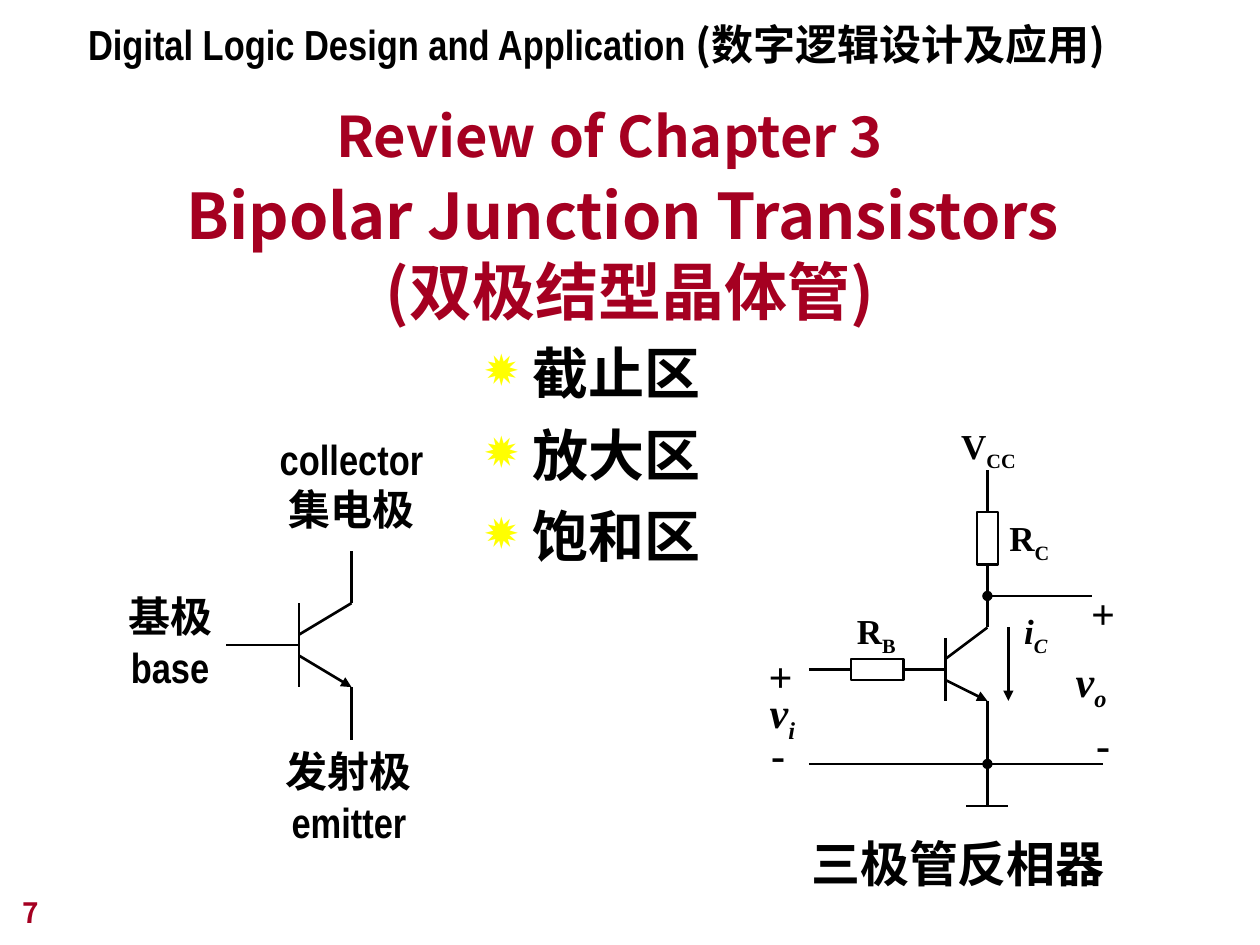
from dataclasses import dataclass
from typing import Optional

from lxml import etree
from pptx import Presentation
from pptx.dml.color import RGBColor
from pptx.enum.shapes import MSO_CONNECTOR, MSO_SHAPE
from pptx.enum.text import MSO_ANCHOR, MSO_AUTO_SIZE, PP_ALIGN
from pptx.oxml.ns import qn
from pptx.shapes.autoshape import Shape
from pptx.slide import Slide
from pptx.util import Inches, Pt

STRAIGHT = MSO_CONNECTOR.STRAIGHT
RECTANGLE = MSO_SHAPE.RECTANGLE
TOP, BOTTOM = MSO_ANCHOR.TOP, MSO_ANCHOR.BOTTOM
LEFT, CENTER = PP_ALIGN.LEFT, PP_ALIGN.CENTER
GROW = MSO_AUTO_SIZE.SHAPE_TO_FIT_TEXT
SIDE_TOP, SIDE_LEFT, SIDE_BOTTOM, SIDE_RIGHT = range(4)

COLORS = {"ink": "000000", "heading": "A50021", "bullet": "FFFF00"}
SANS, NARROW, SERIF = "Noto Sans CJK JP", "Arial Narrow", "Times New Roman"
SLIDE_W, SLIDE_H = 10, 7.5
CELL = 1 / 12  # grid pitch of both diagrams, in inches
LINE_WIDTH = Pt(1.5)


@dataclass(frozen=True)
class Grid:
    left: float
    top: float

    def x(self, column: float) -> int:
        return Inches(self.left + column * CELL)

    def y(self, row: float) -> int:
        return Inches(self.top + row * CELL)


@dataclass(frozen=True)
class Wire:
    """A line between (column, row) points; joints are (resistor, side)."""
    start: tuple[float, float]
    end: tuple[float, float]
    head: Optional[str] = None
    tail: Optional[str] = None
    start_joint: Optional[tuple[str, int]] = None
    end_joint: Optional[tuple[str, int]] = None


@dataclass(frozen=True)
class Label:
    """Text lines, each a list of (text, font) pieces, in a box in inches."""
    box: tuple[float, float, float, float]
    lines: list[list[tuple[str, str]]]
    size: int
    color: str = "ink"
    align: PP_ALIGN = CENTER
    anchor: MSO_ANCHOR = TOP
    wrap: bool = True
    grow: bool = False


@dataclass(frozen=True)
class Symbol:
    """A circuit quantity: a letter with an optional subscript."""
    box: tuple[float, float, float, float]
    letter: str
    subscript: str = ""
    size: int = 24
    italic: bool = False


SYMBOL_GRID = Grid(1.79, 4.37)
TRANSISTOR = [
    Wire((7, 5), (7, 13)),
    Wire((7, 10), (12, 13), tail="triangle"),
    Wire((7, 8), (12, 5)),
    Wire((12, 5), (12, 0)),
    Wire((12, 13), (12, 18)),
    Wire((7, 9), (0, 9)),
]

INVERTER_GRID = Grid(6.42, 3.73)
RESISTORS = {"RC": (16, 4, 2, 5), "RB": (4, 18, 5, 2)}  # column, row, width, height
INVERTER = [
    Wire((13, 16), (13, 22)),
    Wire((13, 18), (17, 15)),
    Wire((13, 20), (17, 22), tail="triangle"),
    Wire((17, 22), (17, 28), tail="oval"),
    Wire((17, 15), (17, 9), end_joint=("RC", SIDE_BOTTOM)),
    Wire((17, 4), (17, 0), start_joint=("RC", SIDE_TOP)),
    Wire((17, 12), (27, 12), head="oval"),
    Wire((0, 28), (28, 28)),
    Wire((17, 28), (17, 32)),
    Wire((15, 32), (19, 32)),
    Wire((0, 19), (4, 19), end_joint=("RB", SIDE_LEFT)),
    Wire((13, 19), (9, 19), end_joint=("RB", SIDE_RIGHT)),
    Wire((19, 15), (19, 22), tail="triangle"),
]

QUANTITIES = [
    Symbol((7.53, 3.32, 0.63, 0.48), "V", "CC", 20),
    Symbol((6.7, 4.79, 0.51, 0.48), "R", "B", 20),
    Symbol((7.91, 4.05, 0.52, 0.48), "R", "C", 20),
    Symbol((8.03, 4.79, 0.38, 0.48), "i", "C", 20, True),
    Symbol((8.44, 5.15, 0.44, 0.56), "v", "o", italic=True),
    Symbol((6.01, 5.4, 0.4, 0.56), "v", "i", italic=True),
    Symbol((8.56, 4.61, 0.39, 0.5), "+"),
    Symbol((8.6, 5.65, 0.31, 0.5), "-"),
    Symbol((6, 5.11, 0.39, 0.5), "+"),
    Symbol((6.02, 5.73, 0.31, 0.5), "-"),
]

TERMINALS = [
    ((0.92, 4.64, 0.86, 0.9), "基极", "base"),
    ((2.12, 3.39, 1.34, 0.9), "collector", "集电极"),
    ((2.17, 5.87, 1.2, 0.9), "发射极", "emitter"),
]

HEADINGS = [
    Label((0.59, 0.63, 8.5, 0.76), [[("Review of Chapter 3", SANS)]], 32,
          "heading", anchor=BOTTOM),
    Label((0.6, 0.1, 8.41, 0.5),
          [[("Digital Logic Design and Application ", NARROW),
            ("(数字逻辑设计及应用)", SANS)]], 24, align=LEFT, grow=True),
    Label((0.75, 1.23, 8.5, 1.42),
          [[("Bipolar Junction Transistors \v(双极结型晶体管)", SANS)]], 36,
          "heading", anchor=BOTTOM),
    Label((0.08, 6.92, 2.08, 0.5), [[("7", SANS)]], 16, "heading", LEFT, BOTTOM),
    Label((6.34, 6.57, 2.53, 0.57), [[("三极管反相器", NARROW)]], 28,
          align=LEFT, grow=True),
]

REGIONS = Label((3.75, 2.64, 3.83, 3.25),
                [[(region, "Arial")] for region in ("截止区", "放大区", "饱和区")],
                32, align=LEFT)


def rgb(name: str) -> RGBColor:
    return RGBColor.from_string(COLORS[name])


def draw_label(slide: Slide, label: Label) -> Shape:
    box = slide.shapes.add_textbox(*map(Inches, label.box))
    frame = box.text_frame
    frame.word_wrap = label.wrap
    frame.vertical_anchor = label.anchor
    if not label.wrap:  # tight labels use the full width of their box
        frame.margin_left = frame.margin_right = 0
    if label.grow:
        frame.auto_size = GROW
    frame.text = "\n".join("" for _ in label.lines)
    for paragraph, pieces in zip(frame.paragraphs, label.lines):
        paragraph.alignment = label.align
        for text, font_name in pieces:
            for part_index, part in enumerate(text.split("\v")):
                if part_index:
                    paragraph.add_line_break()
                run = paragraph.add_run()
                run.text = part
                run.font.name = font_name
                run.font.size = Pt(label.size)
                run.font.bold = True
                run.font.color.rgb = rgb(label.color)
    return box


def draw_quantity(slide: Slide, symbol: Symbol) -> None:
    pieces = [(part, SERIF) for part in (symbol.letter, symbol.subscript) if part]
    box = draw_label(slide, Label(symbol.box, [pieces], symbol.size,
                                  wrap=False, grow=True))
    runs = box.text_frame.paragraphs[0].runs
    for run in runs:
        run.font.italic = symbol.italic
    for run in runs[1:]:
        run.font._element.set("baseline", "-25000")


def draw_regions(slide: Slide) -> None:
    """List the operating regions with star bullets and hanging indents."""
    box = draw_label(slide, REGIONS)
    for index, paragraph in enumerate(box.text_frame.paragraphs):
        properties = paragraph._p.get_or_add_pPr()
        properties.set("marL", str(Inches(0.38)))
        properties.set("indent", str(-Inches(0.38)))
        if index:
            paragraph.space_before = Pt(8)
        color = etree.SubElement(properties, qn("a:buClr"))
        etree.SubElement(color, qn("a:srgbClr"), val=COLORS["bullet"])
        etree.SubElement(properties, qn("a:buSzPct"), val="100000")
        etree.SubElement(properties, qn("a:buChar"), char="✹")


def draw_resistor(slide: Slide, grid: Grid, column: int, row: int,
                  width: int, height: int) -> Shape:
    resistor = slide.shapes.add_shape(RECTANGLE, grid.x(column), grid.y(row),
                                      Inches(width * CELL), Inches(height * CELL))
    resistor.shadow.inherit = False
    resistor.fill.background()
    resistor.line.color.rgb = rgb("ink")
    resistor.line.width = LINE_WIDTH
    return resistor


def draw_wire(slide: Slide, grid: Grid, wire: Wire,
              resistors: dict[str, Shape]) -> None:
    line = slide.shapes.add_connector(
        STRAIGHT, grid.x(wire.start[0]), grid.y(wire.start[1]),
        grid.x(wire.end[0]), grid.y(wire.end[1]))
    line.line.color.rgb = rgb("ink")
    line.line.width = LINE_WIDTH
    for tag, kind in (("a:headEnd", wire.head), ("a:tailEnd", wire.tail)):
        if kind:
            etree.SubElement(line.line._get_or_add_ln(), qn(tag), type=kind)
    etree.SubElement(line._element.spPr, qn("a:effectLst"))
    for joint, connect in ((wire.start_joint, line.begin_connect),
                           (wire.end_joint, line.end_connect)):
        if joint:
            connect(resistors[joint[0]], joint[1])


def main() -> None:
    deck = Presentation()
    deck.slide_width, deck.slide_height = Inches(SLIDE_W), Inches(SLIDE_H)
    slide = deck.slides.add_slide(deck.slide_layouts[6])
    draw_regions(slide)
    resistors = {name: draw_resistor(slide, INVERTER_GRID, *cells)
                 for name, cells in RESISTORS.items()}
    for grid, wires in ((SYMBOL_GRID, TRANSISTOR), (INVERTER_GRID, INVERTER)):
        for wire in wires:
            draw_wire(slide, grid, wire, resistors)
    for box, *names in TERMINALS:
        draw_label(slide, Label(box, [[(name, NARROW)] for name in names], 24,
                                wrap=False, grow=True))
    for symbol in QUANTITIES:
        draw_quantity(slide, symbol)
    for heading in HEADINGS:
        draw_label(slide, heading)
    deck.save("out.pptx")


if __name__ == "__main__":
    main()
